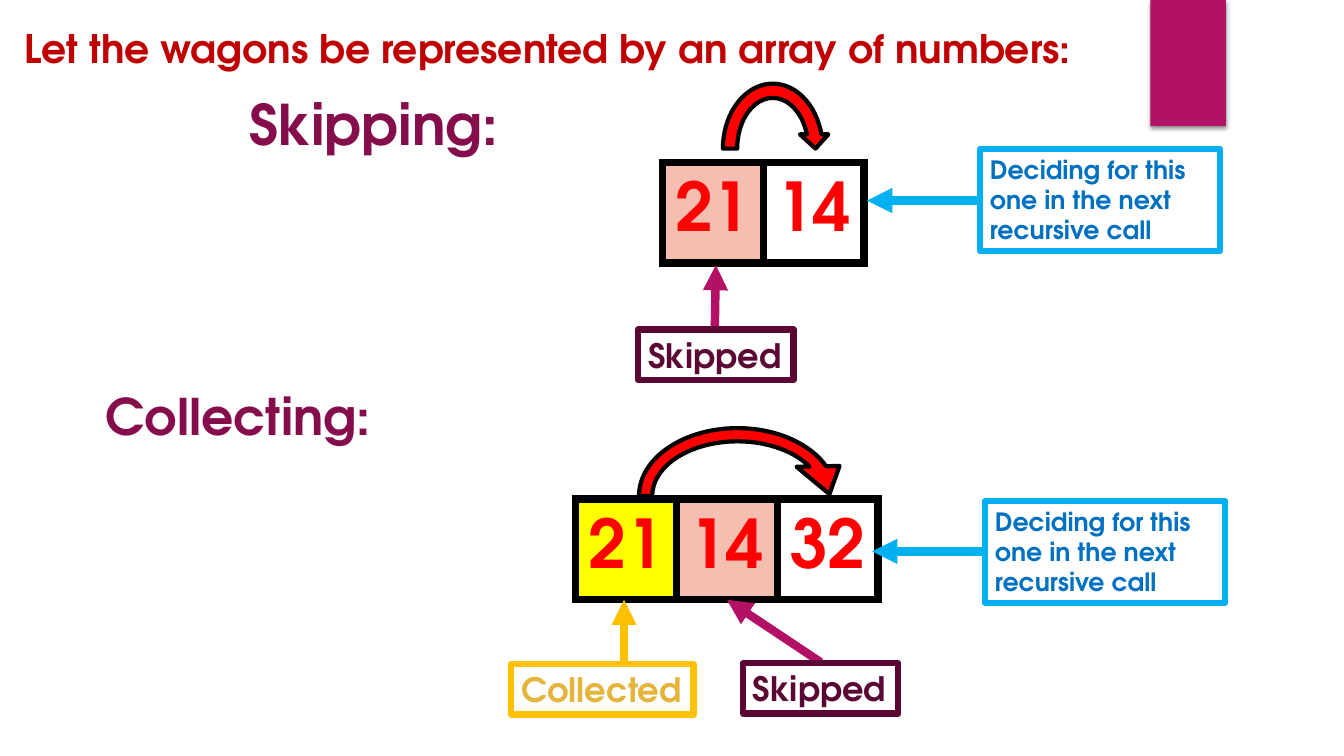
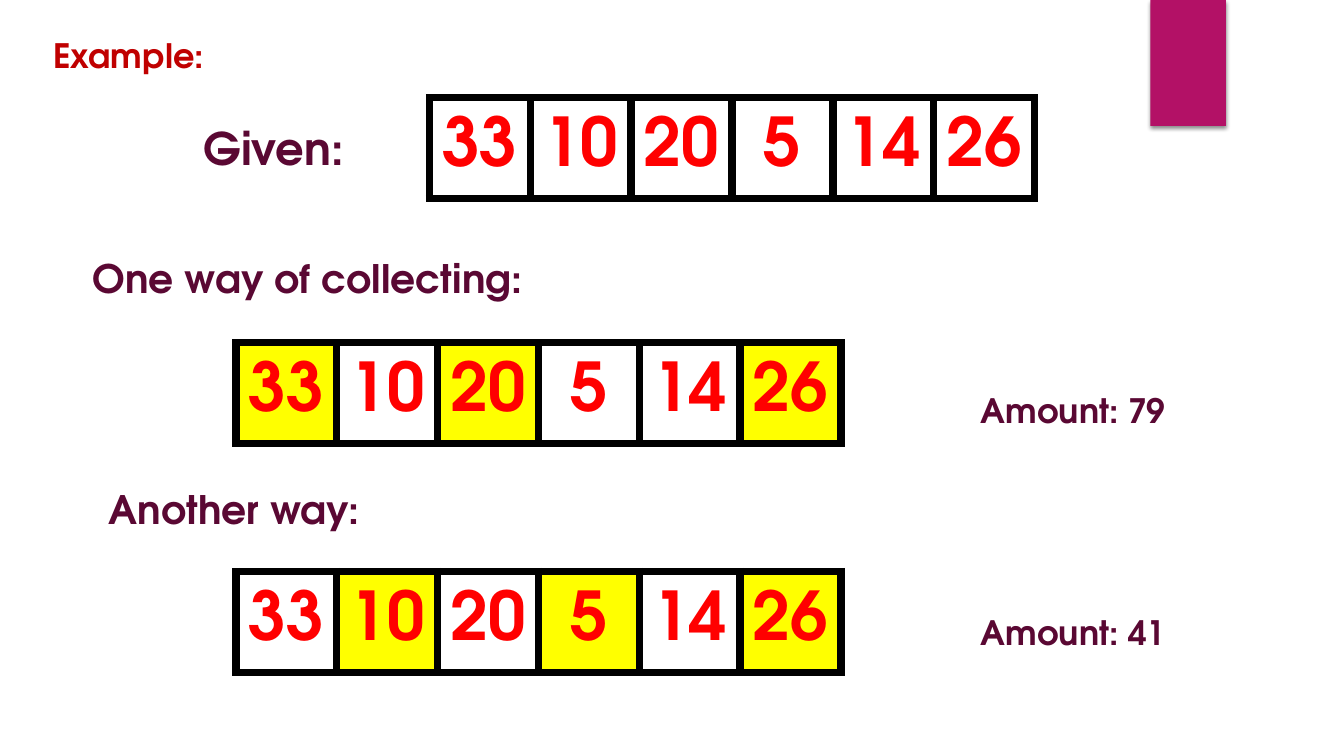
from dataclasses import dataclass

from lxml import etree
from pptx import Presentation
from pptx.dml.color import RGBColor
from pptx.enum import shapes, text
from pptx.oxml import ns, parse_xml
from pptx.util import Inches, Pt


@dataclass(frozen=True)
class Theme:
    font: str = "TeX Gyre Adventor"
    band: str = "B31166"
    heading: str = "C00000"
    case: str = "860D4C"
    plum: str = "5A0833"
    gold: str = "FFC000"
    gold_text: str = "E4B43C"
    sky: str = "00B0F0"
    blue_text: str = "0070C0"
    red: str = "FF0000"
    black: str = "000000"
    plain: str = "FFFFFF"
    skipped: str = "F4BFB1"
    collected: str = "FFFF00"
    number_size: int = 48
    case_size: int = 40
    collecting_size: int = 36
    given_size: int = 32
    title_size: int = 28
    label_size: int = 24
    note_size: int = 18
    frame: float = 4.5
    rule: float = 6
    outline: float = 3


class Deck:
    def __init__(self, theme):
        self.theme = theme
        self.deck = Presentation()
        self.deck.slide_width, self.deck.slide_height = Inches(13.33), Inches(7.5)
        self.slide = None

    def new_slide(self):
        self.slide = self.deck.slides.add_slide(self.deck.slide_layouts[6])
        band = self.shape(shapes.MSO_SHAPE.RECTANGLE, 11.41, 0, 0.75, 1.25, self.theme.band)
        effects = band._element.spPr.find(ns.qn("a:effectLst"))
        effects.append(parse_xml(
            f'<a:outerShdw {ns.nsdecls("a")} blurRad="{Pt(3)}" dist="{Pt(2)}" dir="5400000" '
            f'algn="ctr" rotWithShape="0"><a:srgbClr val="{self.theme.black}">'
            '<a:alpha val="45000"/></a:srgbClr></a:outerShdw>'))

    def shape(self, kind, left, top, width, height, fill=None, line=None, weight=0):
        shape = self.slide.shapes.add_shape(
            kind, Inches(left), Inches(top), Inches(width), Inches(height))
        shape.shadow.inherit = False
        if fill:
            shape.fill.solid()
            shape.fill.fore_color.rgb = RGBColor.from_string(fill)
        else:
            shape.fill.background()
        if line:
            shape.line.color.rgb = RGBColor.from_string(line)
            shape.line.width = Pt(weight)
        else:
            shape.line.fill.background()
        return shape

    def add_words(self, frame, words, size, color, align=text.PP_ALIGN.LEFT):
        paragraph = frame.paragraphs[0]
        paragraph.alignment = align
        run = paragraph.add_run()
        run.text = words
        run.font.name = self.theme.font
        run.font.size = Pt(size)
        run.font.bold = True
        run.font.color.rgb = RGBColor.from_string(color)

    def fit(self, frame, wrap):
        frame.word_wrap = wrap
        frame.auto_size = text.MSO_AUTO_SIZE.SHAPE_TO_FIT_TEXT
        frame.vertical_anchor = text.MSO_ANCHOR.TOP

    def label(self, words, left, top, width, height, size, color):
        box = self.slide.shapes.add_textbox(
            Inches(left), Inches(top), Inches(width), Inches(height))
        self.fit(box.text_frame, False)
        self.add_words(box.text_frame, words, size, color)

    def framed(self, words, left, top, width, height, size, color, line, wrap=False):
        box = self.shape(shapes.MSO_SHAPE.RECTANGLE, left, top, width, height,
                         line=line, weight=self.theme.frame)
        self.fit(box.text_frame, wrap)
        self.add_words(box.text_frame, words, size, color)

    def tag(self, words, left, top, width, color, line):
        self.framed(words, left, top, width, 0.5, self.theme.label_size, color, line)

    def skipped_tag(self, left, top):
        self.tag("Skipped", left, top, 1.54, self.theme.plum, self.theme.plum)

    def next_call(self, left, top, arrow_y):
        self.arrow((left, arrow_y), (left - 1.12, arrow_y), self.theme.sky)
        self.framed("Deciding for this one in the next recursive call", left, top, 2.38, 1.01,
                    self.theme.note_size, self.theme.blue_text, self.theme.sky, wrap=True)

    def arrow(self, start, end, color):
        arrow = self.slide.shapes.add_connector(
            shapes.MSO_CONNECTOR.STRAIGHT, *(Inches(value) for value in (*start, *end)))
        arrow.line.color.rgb = RGBColor.from_string(color)
        arrow.line.width = Pt(self.theme.rule)
        properties = arrow._element.spPr
        etree.SubElement(properties.find(ns.qn("a:ln")), ns.qn("a:tailEnd"), type="triangle")
        etree.SubElement(properties, ns.qn("a:effectLst"))

    def jump(self, left, top, width, height, adjustments=()):
        jump = self.shape(shapes.MSO_SHAPE.CIRCULAR_ARROW, left, top, width, height,
                          self.theme.red, self.theme.black, self.theme.outline)
        for index, value in enumerate(adjustments):
            jump.adjustments[index] = value

    def wagons(self, numbers, left, top, fills=None):
        fills = fills or {}
        table = self.slide.shapes.add_table(
            1, len(numbers), Inches(left), Inches(top), Inches(len(numbers)), Inches(1)).table
        table.first_row = table.horz_banding = False
        for index, number in enumerate(numbers):
            cell = table.cell(0, index)
            self.border(cell)
            cell.fill.solid()
            cell.fill.fore_color.rgb = RGBColor.from_string(fills.get(number, self.theme.plain))
            cell.vertical_anchor = text.MSO_ANCHOR.MIDDLE
            self.add_words(cell.text_frame, str(number), self.theme.number_size,
                           self.theme.red, text.PP_ALIGN.CENTER)

    def border(self, cell):
        properties = cell._tc.get_or_add_tcPr()
        for side in ("lnL", "lnR", "lnT", "lnB"):
            line = etree.SubElement(properties, ns.qn(f"a:{side}"), w=str(Pt(self.theme.rule)))
            fill = etree.SubElement(line, ns.qn("a:solidFill"))
            etree.SubElement(fill, ns.qn("a:srgbClr"), val=self.theme.black)


theme = Theme()
deck = Deck(theme)

deck.new_slide()
deck.label("Let the wagons be represented by an array of numbers:",
           0.14, 0.19, 10.74, 0.57, theme.title_size, theme.heading)
deck.label("Skipping:", 2.38, 0.84, 2.69, 0.77, theme.case_size, theme.case)
deck.wagons((21, 14), 6.57, 1.61, {21: theme.skipped})
deck.jump(7.1, 0.76, 1.13, 1.43)
deck.next_call(9.72, 1.48, 1.99)
deck.arrow((7.09, 3.26), (7.1, 2.63), theme.band)
deck.skipped_tag(6.33, 3.27)

deck.label("Collecting:", 0.95, 3.77, 2.86, 0.71, theme.collecting_size, theme.case)
deck.wagons((21, 14, 32), 5.71, 4.95, {21: theme.collected, 14: theme.skipped})
deck.jump(6.19, 4.1, 2.25, 1.64, (0.08, 11.42, 203.92, 108, 0.13))
deck.arrow((6.19, 6.58), (6.19, 5.95), theme.gold)
deck.tag("Collected", 5.07, 6.59, 1.81, theme.gold_text, theme.gold)
deck.arrow((8.14, 6.57), (7.21, 5.95), theme.band)
deck.skipped_tag(7.37, 6.58)
deck.next_call(9.77, 4.97, 5.47)

deck.new_slide()
train = (33, 10, 20, 5, 14, 26)
deck.label("Example:", 0.43, 0.3, 1.72, 0.5, theme.label_size, theme.heading)
deck.label("Given:", 1.92, 1.15, 1.62, 0.64, theme.given_size, theme.plum)
deck.wagons(train, 4.26, 0.97)
ways = (
    ("One way of collecting:", 0.82, 2.47, 4.52, 3.4, 3.82, (33, 20, 26)),
    ("Another way:", 0.98, 4.77, 2.73, 5.67, 6.02, (10, 5, 26)),
)
for way, left, top, width, train_top, amount_top, picks in ways:
    deck.label(way, left, top, width, 0.57, theme.title_size, theme.plum)
    deck.wagons(train, 2.34, train_top, dict.fromkeys(picks, theme.collected))
    deck.label(f"Amount: {sum(picks)}", 9.63, amount_top, 2.05, 0.5,
               theme.label_size, theme.plum)

deck.deck.save("out.pptx")
